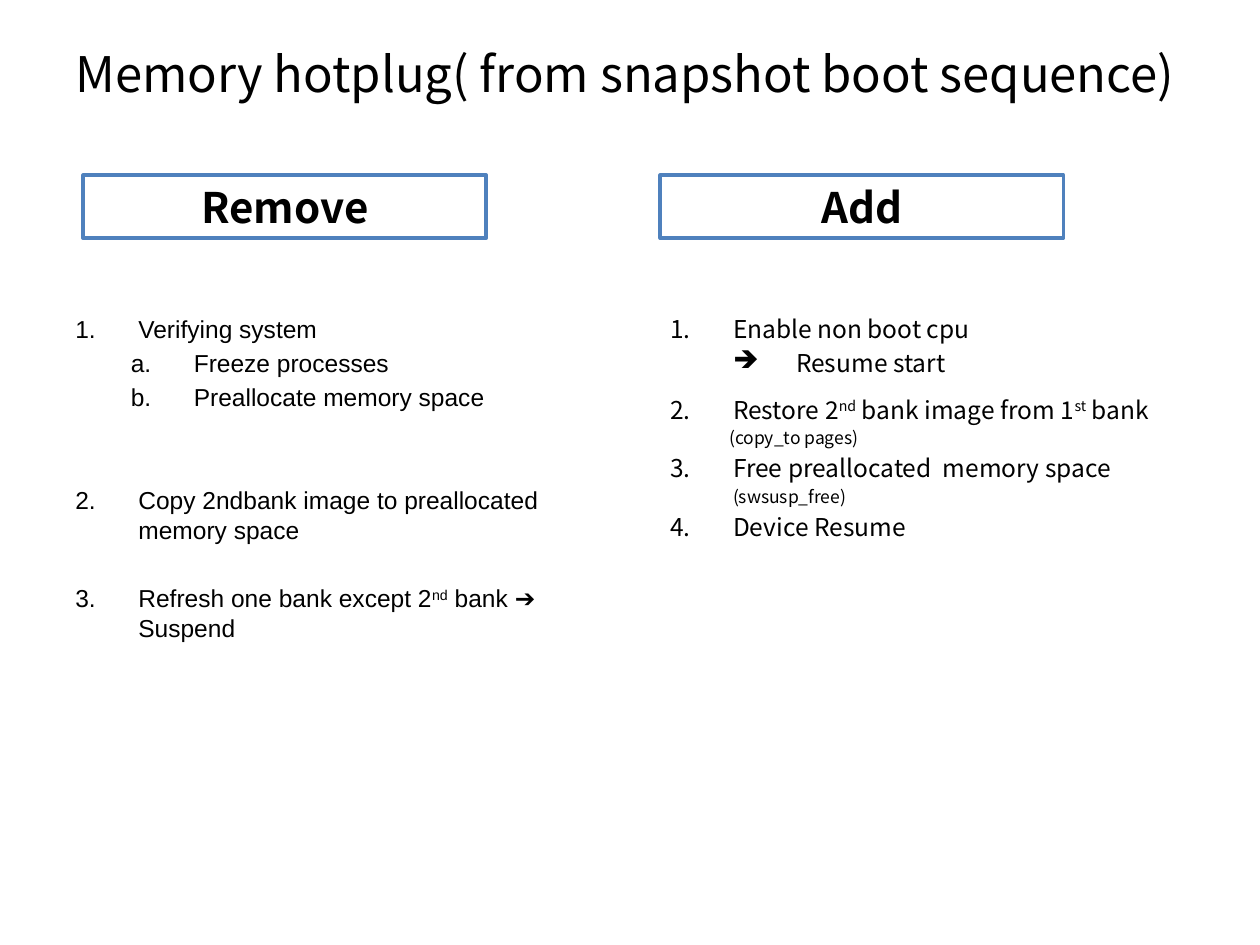
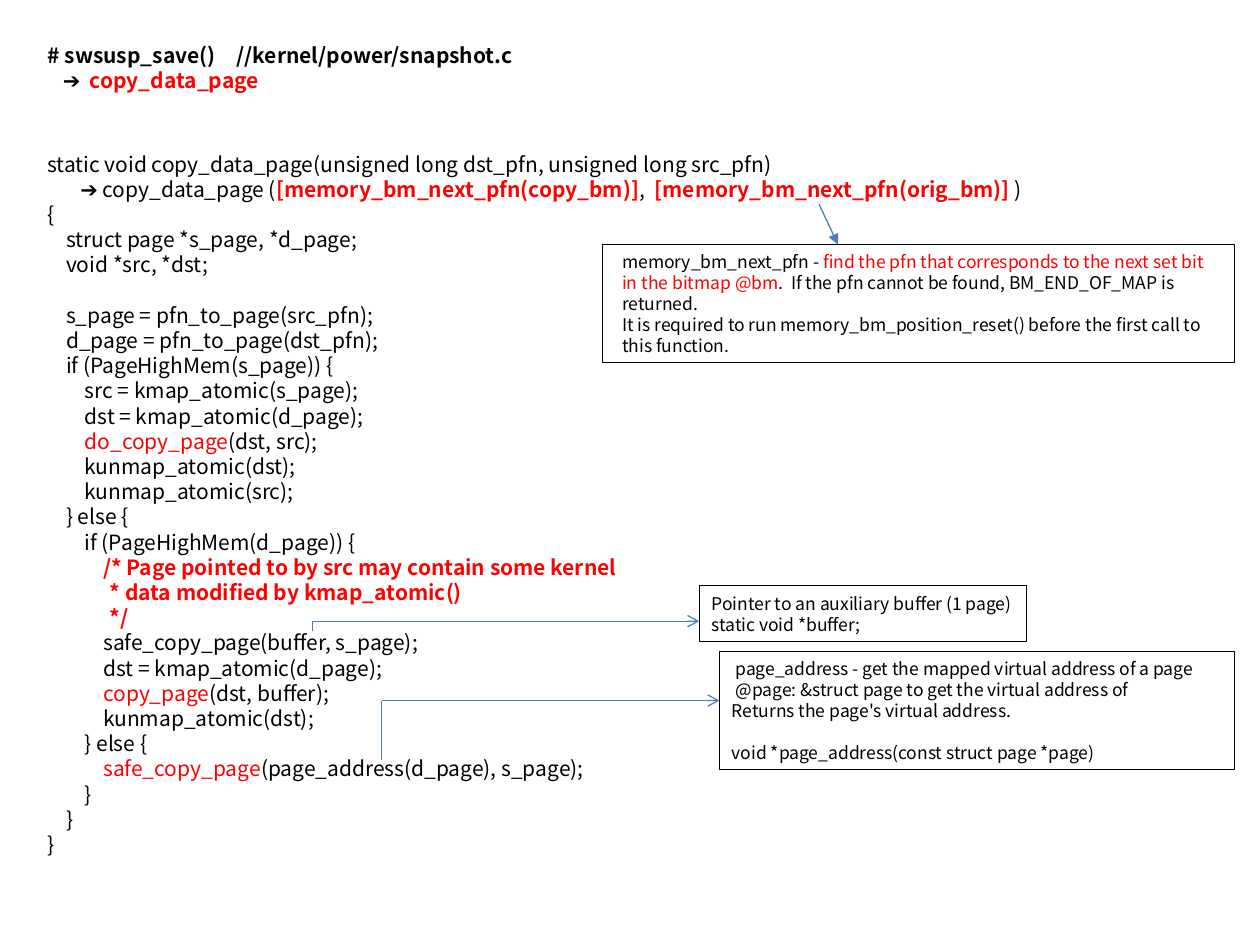
import pptx
import pptx.util
import pptx.dml.color
import pptx.enum.shapes
import pptx.enum.text
import pptx.oxml.ns
from lxml import etree

Inches = pptx.util.Inches
Pt = pptx.util.Pt
SANS, ARIAL = "Noto Sans CJK KR", "Arial"
BLACK, WHITE, RED = "000000", "FFFFFF", "FF0000"
BORDER_BLUE, ARROW_BLUE = "4F81BD", "4B7EBC"
LINE_RATIO = 1.2
CODE_INDENT = 0.147
MARKED = {"color": RED}
STRONG = {"color": RED, "bold": True}
RAISED = {"raised": True}


def rgb(value):
    """Return the colour for a hex string."""
    return pptx.dml.color.RGBColor.from_string(value)


def add_element(parent, tag, **attributes):
    """Append a drawing element with attributes."""
    element = etree.SubElement(parent, pptx.oxml.ns.qn(tag))
    for name, value in attributes.items():
        element.set(name, str(value))
    return element


def add_span(para, text, size=12, font=SANS, color=BLACK, bold=False, raised=False):
    """Add one formatted run."""
    span = para.add_run()
    span.text = text
    span.font.size = Pt(size)
    span.font.name = font
    span.font.bold = bold
    span.font.color.rgb = rgb(color)
    if raised:
        span.font._element.set("baseline", "30000")


def write(box, spans, left=0, hang=0, before=0, align="LEFT", number=None,
          start=1, symbol=None, tab=None, size=12, **style):
    """Write one paragraph; spans is a string or a list of strings and (string, format) pairs."""
    frame = box.text_frame
    para = frame.paragraphs[0] if not frame.text else frame.add_paragraph()
    para.alignment = getattr(pptx.enum.text.PP_ALIGN, align)
    para.line_spacing = Pt(size * LINE_RATIO)
    para.space_before = Pt(before)
    properties = para._p.get_or_add_pPr()
    properties.set("marL", str(Inches(left)))
    properties.set("indent", str(Inches(-hang)))
    if number:
        add_element(properties, "a:buAutoNum", type=number, startAt=start)
    elif symbol:
        add_element(properties, "a:buChar", char=symbol)
    else:
        add_element(properties, "a:buNone")
    if tab:
        stops = add_element(properties, "a:tabLst")
        add_element(stops, "a:tab", pos=Inches(tab), algn="l")
    for item in [spans] if isinstance(spans, str) else spans:
        text, special = (item, {}) if isinstance(item, str) else item
        add_span(para, text, **{"size": size, **style, **special})


def add_text_box(page, left, top, width, height):
    """Add an empty wrapping text box."""
    box = page.shapes.add_textbox(Inches(left), Inches(top), Inches(width), Inches(height))
    box.text_frame.word_wrap = True
    return box


def add_frame(page, left, top, width, height, fill=None, line=BLACK, weight=0.75):
    """Add an outlined rectangle for text."""
    box = page.shapes.add_shape(pptx.enum.shapes.MSO_SHAPE.RECTANGLE, Inches(left),
                                Inches(top), Inches(width), Inches(height))
    box.shadow.inherit = False
    if fill:
        box.fill.solid()
        box.fill.fore_color.rgb = rgb(fill)
    else:
        box.fill.background()
    box.line.color.rgb = rgb(line)
    box.line.width = Pt(weight)
    box.text_frame.word_wrap = True
    box.text_frame.vertical_anchor = pptx.enum.text.MSO_ANCHOR.MIDDLE
    return box


def add_line(page, start, end, head=None):
    """Add a straight line, with an arrowhead at its end if named."""
    line = page.shapes.add_connector(pptx.enum.shapes.MSO_CONNECTOR.STRAIGHT,
                                     *map(Inches, start + end))
    line.line.color.rgb = rgb(ARROW_BLUE)
    line.line.width = Pt(0.75)
    if head:
        add_element(line.line._get_or_add_ln(), "a:tailEnd", type=head)
    add_element(line._element.spPr, "a:effectLst")


def add_elbow(page, left, bottom, top, right):
    """Add a line that rises from the code and an arrow to its note."""
    add_line(page, (left, bottom), (left, top))
    add_line(page, (left, top), (right, top), "arrow")


def add_heading(page, left, text):
    """Add a framed column heading."""
    box = add_frame(page, left, 1.39, 3.2, 0.5, WHITE, BORDER_BLUE, 2)
    write(box, text, size=24, bold=True, align="CENTER")


def add_step(box, start, spans, before=2.8, font=SANS):
    """Write a numbered step."""
    write(box, spans, left=0.5, hang=0.5, before=before, number="arabicPeriod",
          start=start, size=14, font=font)


def build_sequence(page):
    """Build the slide of the remove and add sequences."""
    title = add_text_box(page, 0.5, 0.3, 9, 1.25)
    write(title, "Memory hotplug( from snapshot boot sequence)", size=28)
    add_heading(page, 0.66, "Remove")
    add_heading(page, 5.24, "Add")

    remove = add_text_box(page, 0.5, 2.44, 4.27, 3.2)
    add_step(remove, 1, "Verifying system", font=ARIAL)
    for start, text in enumerate(["Freeze processes", "Preallocate memory space"], 1):
        write(remove, text, left=0.94, hang=0.5, before=2.8, number="alphaLcPeriod",
              start=start, size=14, font=ARIAL)
    add_step(remove, 2, "Copy 2ndbank image to preallocated memory space", 42, ARIAL)
    add_step(remove, 3, ["Refresh one bank except 2", ("nd", RAISED), " bank \u2794  Suspend"],
             22.4, ARIAL)

    add = add_text_box(page, 5.22, 2.44, 4.27, 4.22)
    add_step(add, 1, "Enable non boot cpu")
    write(add, "Resume start", left=1, hang=0.5, before=2.8, symbol="\u2794", size=14)
    add_step(add, 2, ["Restore 2", ("nd", RAISED), " bank image from 1", ("st", RAISED),
                      " bank"], 9.8)
    write(add, "(copy_to pages)", left=0.47, before=2, size=10)
    add_step(add, 3, "Free preallocated  memory space")
    write(add, "(swsusp_free)", left=0.5, before=2, size=10)
    add_step(add, 4, "Device Resume")


def add_code(page):
    """Add the function listing, indented by depth."""
    code = add_text_box(page, 0.28, 1.15, 9.37, 5.76)
    write(code, "static void copy_data_page(unsigned long dst_pfn, unsigned long src_pfn)")
    write(code, ["\u2794 copy_data_page (", ("[memory_bm_next_pfn(copy_bm)]", STRONG), ",  ",
                 ("[memory_bm_next_pfn(orig_bm)]", STRONG), " )"], left=0.26)
    declarations = [
        (0, "{"),
        (1, "struct page *s_page, *d_page;"),
        (1, "void *src, *dst;"),
    ]
    body = [
        (1, "s_page = pfn_to_page(src_pfn);"),
        (1, "d_page = pfn_to_page(dst_pfn);"),
        (1, "if (PageHighMem(s_page)) {"),
        (2, "src = kmap_atomic(s_page);"),
        (2, "dst = kmap_atomic(d_page);"),
        (2, [("do_copy_page", MARKED), "(dst, src);"]),
        (2, "kunmap_atomic(dst);"),
        (2, "kunmap_atomic(src);"),
        (1, "} else {"),
        (2, "if (PageHighMem(d_page)) {"),
        (3, [("/* Page pointed to by src may contain some kernel", STRONG)]),
        (3.35, [("* data modified by kmap_atomic()", STRONG)]),
        (3.35, [("*/", STRONG)]),
        (3, "safe_copy_page(buffer, s_page);"),
        (3, "dst = kmap_atomic(d_page);"),
        (3, [("copy_page", MARKED), "(dst, buffer);"]),
        (3, "kunmap_atomic(dst);"),
        (2, "} else {"),
        (3, [("safe_copy_page", MARKED), "(page_address(d_page), s_page);"]),
        (2, "}"),
        (1, "}"),
        (0, "}"),
    ]
    for block, gap in ((declarations, 0), (body, 12 * LINE_RATIO)):
        for row, (depth, spans) in enumerate(block):
            write(code, spans, left=depth * CODE_INDENT, before=0 if row else gap)


def add_notes(page):
    """Add the framed explanations and their arrows."""
    bitmap = add_frame(page, 4.78, 1.94, 5.02, 0.94)
    for spans in (
        ["memory_bm_next_pfn - ", ("find the pfn that corresponds to the next set bit", MARKED)],
        [("in the bitmap @bm", MARKED), ".  If the pfn cannot be found, BM_END_OF_MAP is"],
        "returned.",
        "It is required to run memory_bm_position_reset() before the first call to",
        "this function.",
    ):
        write(bitmap, spans, left=0.06, size=10)
    add_line(page, (6.5, 1.62), (6.65, 1.94), "triangle")

    address = add_frame(page, 5.71, 5.17, 4.09, 0.94)
    for text, left, before in (
        ("page_address - get the mapped virtual address of a page", 0.03, 0),
        ("@page: &struct page to get the virtual address of", 0.03, 0),
        ("Returns the page's virtual address.", 0, 0),
        ("void *page_address(const struct page *page)", 0, 10 * LINE_RATIO),
    ):
        write(address, text, left=left, before=before, size=10)
    add_elbow(page, 3.03, 6.03, 5.56, 5.71)

    buffer = add_frame(page, 5.55, 4.65, 2.6, 0.44)
    for text in ("Pointer to an auxiliary buffer (1 page)", "static void *buffer;"):
        write(buffer, text, size=10)
    add_elbow(page, 2.48, 5.01, 4.93, 5.55)


def build_listing(page):
    """Build the slide of the annotated source code."""
    header = add_text_box(page, 0.28, 0.29, 9.45, 0.5)
    write(header, "# swsusp_save()\t//kernel/power/snapshot.c", bold=True, tab=5)
    write(header, ["\u2794  ", ("copy_data_page", MARKED)], left=0.12, bold=True)
    add_code(page)
    add_notes(page)


def main():
    """Build and save the deck."""
    deck = pptx.Presentation()
    deck.slide_width, deck.slide_height = Inches(10), Inches(7.5)
    for build in (build_sequence, build_listing):
        page = deck.slides.add_slide(deck.slide_layouts[6])
        page.background.fill.solid()
        page.background.fill.fore_color.rgb = rgb(WHITE)
        build(page)
    deck.save("out.pptx")


main()
